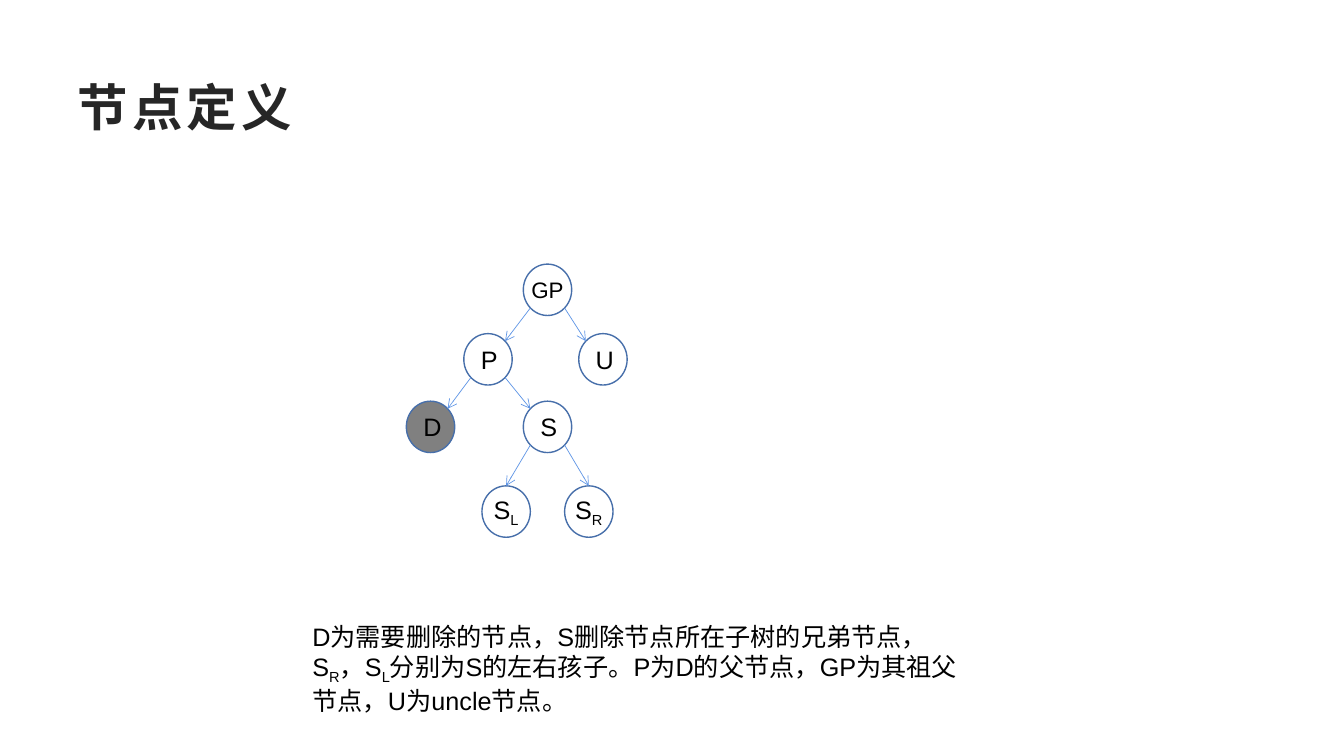
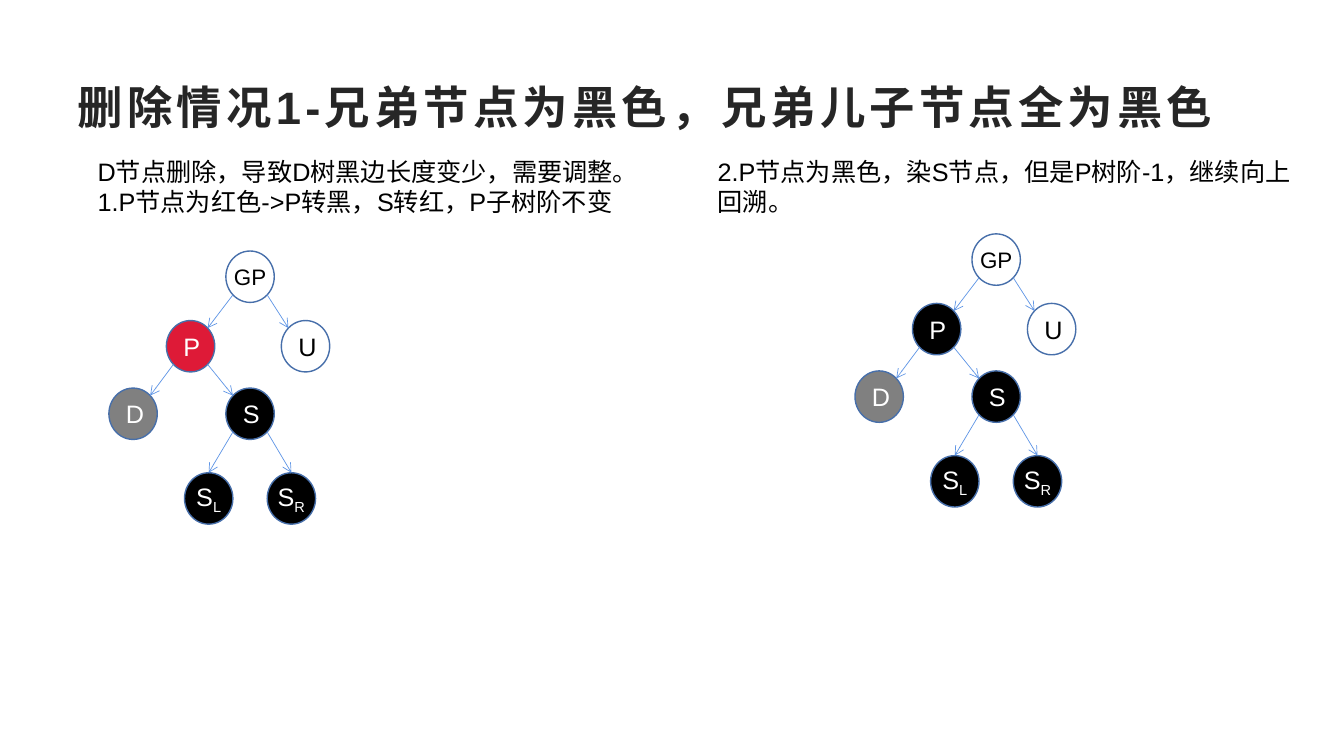
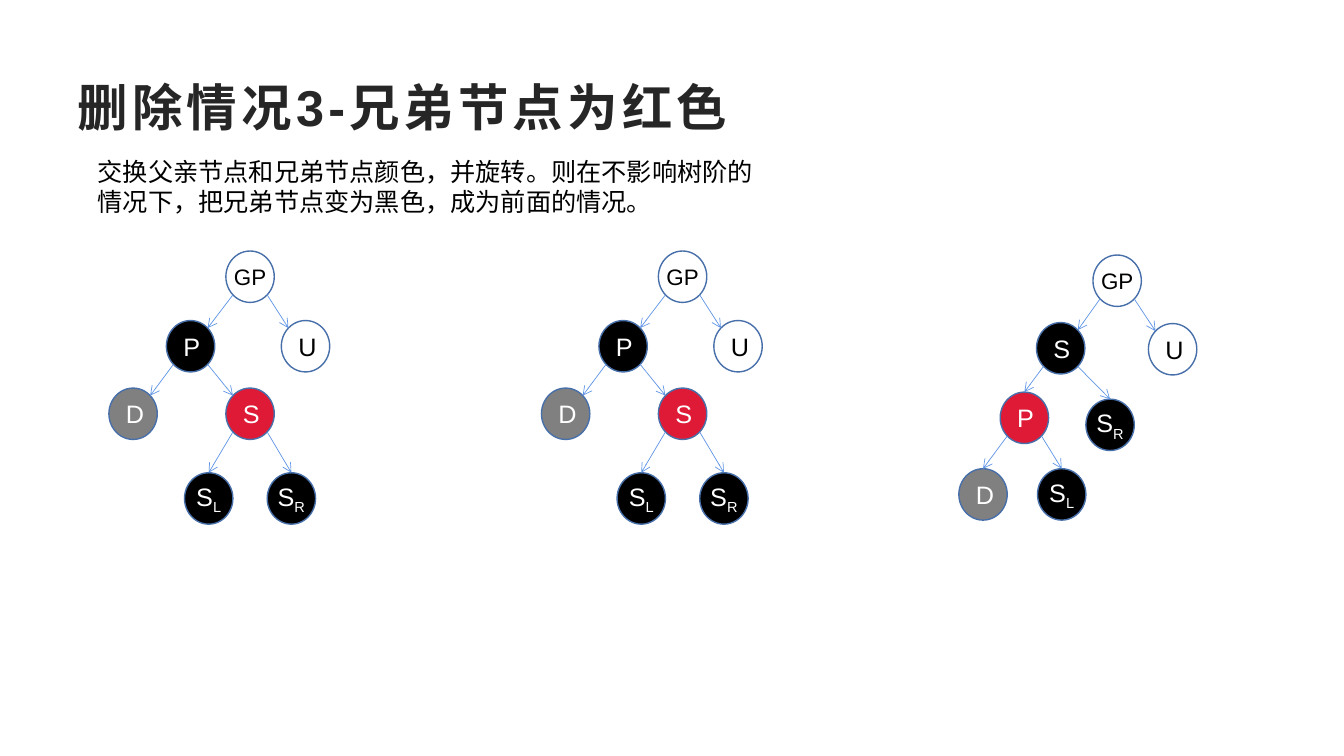
import math
from dataclasses import dataclass

from lxml import etree
from pptx import Presentation
from pptx.dml.color import RGBColor
from pptx.enum import shapes, text
from pptx.oxml import ns
from pptx.util import Inches, Pt


@dataclass(frozen=True)
class Theme:
    font: str = "Arial"
    title_color: str = "262626"
    text_color: str = "000000"
    node_line: str = "476FAA"
    edge_line: str = "6096E6"
    title_size: float = 36
    text_size: float = 18
    small_size: float = 16
    title_spacing: int = 300


@dataclass(frozen=True)
class NodeStyle:
    fill: str
    text: str


THEME = Theme()
PLAIN = NodeStyle("FFFFFF", "000000")
BLACK = NodeStyle("000000", "FFFFFF")
RED = NodeStyle("DE1A37", "FFFFFF")
DELETED = NodeStyle("808080", "FFFFFF")
DELETED_DARK = NodeStyle("808080", "000000")

NODE_WIDTH, NODE_HEIGHT = 0.48, 0.51

# Where an edge meets a node, in degrees, clockwise from the right.
LOWER_RIGHT, LOWER_LEFT, UPPER_LEFT, TOP, UPPER_RIGHT = 45, 135, 225, 270, 315


@dataclass(frozen=True)
class Layout:
    """Node offsets from GP, and edges as (parent, child, exit, entry)."""
    offsets: dict
    edges: tuple


BEFORE_ROTATION = Layout(
    {"GP": (0, 0), "P": (-0.59, 0.69), "U": (0.55, 0.69), "D": (-1.16, 1.36),
     "S": (0, 1.36), "S_L": (-0.41, 2.2), "S_R": (0.41, 2.2)},
    (("GP", "P", LOWER_LEFT, UPPER_RIGHT), ("GP", "U", LOWER_RIGHT, UPPER_LEFT),
     ("P", "D", LOWER_LEFT, UPPER_RIGHT), ("P", "S", LOWER_RIGHT, UPPER_LEFT),
     ("S", "S_L", LOWER_LEFT, TOP), ("S", "S_R", LOWER_RIGHT, TOP)))
AFTER_ROTATION = Layout(
    {"GP": (0, 0), "S": (-0.56, 0.67), "U": (0.55, 0.68), "P": (-0.92, 1.36),
     "S_R": (-0.07, 1.43), "D": (-1.33, 2.12), "S_L": (-0.55, 2.12)},
    (("GP", "S", LOWER_LEFT, UPPER_RIGHT), ("GP", "U", LOWER_RIGHT, UPPER_LEFT),
     ("S", "P", LOWER_LEFT, TOP), ("S", "S_R", LOWER_RIGHT, TOP),
     ("P", "D", LOWER_LEFT, TOP), ("P", "S_L", LOWER_RIGHT, TOP)))

DEFINITION_STYLES = {**dict.fromkeys(BEFORE_ROTATION.offsets, PLAIN), "D": DELETED_DARK}
BLACK_STYLES = {**dict.fromkeys(BEFORE_ROTATION.offsets, BLACK),
                "GP": PLAIN, "U": PLAIN, "D": DELETED}


def rgb(value):
    return RGBColor.from_string(value)


def write(paragraph, content, size, color):
    """Fill a paragraph; the letter after each underscore becomes a subscript."""
    font = paragraph.font
    font.name, font.size = THEME.font, Pt(size)
    font.color.rgb = rgb(color)
    first, *rest = content.split("_")
    pieces = [(first, False)]
    for part in rest:
        pieces += [(part[0], True), (part[1:], False)]
    for piece, is_subscript in pieces:
        if piece:
            run = paragraph.add_run()
            run.text = piece
            if is_subscript:
                run.font._element.set("baseline", "-25000")


def add_slide(presentation, title, size=THEME.title_size):
    slide = presentation.slides.add_slide(presentation.slide_layouts[5])
    shape = slide.shapes.title
    shape.left, shape.top = Inches(0.67), Inches(0.67)
    shape.width, shape.height = Inches(12), Inches(0.77)
    frame = shape.text_frame
    frame.auto_size = text.MSO_AUTO_SIZE.NONE
    frame.vertical_anchor = text.MSO_ANCHOR.MIDDLE
    paragraph = frame.paragraphs[0]
    paragraph.alignment = text.PP_ALIGN.LEFT
    write(paragraph, title, size, THEME.title_color)
    paragraph.font.bold = True
    paragraph.font._element.set("spc", str(THEME.title_spacing))
    return slide


def add_note(slide, left, top, width, height, *lines):
    box = slide.shapes.add_textbox(*map(Inches, (left, top, width, height)))
    frame = box.text_frame
    frame.word_wrap = True
    frame.auto_size = text.MSO_AUTO_SIZE.SHAPE_TO_FIT_TEXT
    for index, line in enumerate(lines):
        paragraph = frame.add_paragraph() if index else frame.paragraphs[0]
        write(paragraph, line, THEME.text_size, THEME.text_color)


def add_node(slide, label, left, top, style):
    shape = slide.shapes.add_shape(
        shapes.MSO_SHAPE.OVAL, *map(Inches, (left, top, NODE_WIDTH, NODE_HEIGHT)))
    shape.shadow.inherit = False
    shape.fill.solid()
    shape.fill.fore_color.rgb = rgb(style.fill)
    shape.line.color.rgb = rgb(THEME.node_line)
    shape.line.width = Pt(1)
    frame = shape.text_frame
    frame.vertical_anchor = text.MSO_ANCHOR.MIDDLE
    is_long = len(label) > 1
    if is_long:
        frame.margin_left = frame.margin_right = 0
        frame.margin_top = frame.margin_bottom = 0
    paragraph = frame.paragraphs[0]
    paragraph.alignment = text.PP_ALIGN.CENTER
    size = THEME.small_size if label == "GP" else THEME.text_size
    write(paragraph, label, size, style.text)


def rim_point(corner, angle):
    """Point on the outline of the node whose top left corner is given."""
    radians = math.radians(angle)
    return (Inches(corner[0] + NODE_WIDTH / 2 * (1 + math.cos(radians))),
            Inches(corner[1] + NODE_HEIGHT / 2 * (1 + math.sin(radians))))


def add_arrow(slide, start, end):
    connector = slide.shapes.add_connector(shapes.MSO_CONNECTOR.STRAIGHT, *start, *end)
    connector.line.color.rgb = rgb(THEME.edge_line)
    connector.line.width = Pt(0.5)
    properties = connector._element.spPr
    etree.SubElement(properties.find(ns.qn("a:ln")), ns.qn("a:tailEnd"), type="arrow")
    etree.SubElement(properties, ns.qn("a:effectLst"))


def add_tree(slide, left, top, layout, styles):
    """Draw a tree whose GP node has its top left corner at left, top."""
    corners = {label: (left + x, top + y) for label, (x, y) in layout.offsets.items()}
    for label, corner in corners.items():
        add_node(slide, label, *corner, styles[label])
    for parent, child, leave, enter in layout.edges:
        add_arrow(slide, rim_point(corners[parent], leave), rim_point(corners[child], enter))


def add_definition_slide(presentation):
    slide = add_slide(presentation, "节点定义")
    add_tree(slide, 5.19, 2.62, BEFORE_ROTATION, DEFINITION_STYLES)
    add_note(slide, 3, 6.11, 6.8, 1.01,
             "D为需要删除的节点，S删除节点所在子树的兄弟节点，S_R，S_L分别为S的左右孩子。"
             "P为D的父节点，GP为其祖父节点，U为uncle节点。")


def add_black_sibling_slide(presentation):
    slide = add_slide(presentation, "删除情况1-兄弟节点为黑色，兄弟儿子节点全为黑色", 32.4)
    add_note(slide, 0.87, 1.5, 5.76, 0.71,
             "D节点删除，导致D树黑边长度变少，需要调整。",
             "1.P节点为红色->P转黑，S转红，P子树阶不变")
    add_tree(slide, 2.24, 2.49, BEFORE_ROTATION, {**BLACK_STYLES, "P": RED})
    add_note(slide, 7.02, 1.5, 5.93, 0.71,
             "2.P节点为黑色，染S节点，但是P树阶-1，继续向上回溯。")
    add_tree(slide, 9.64, 2.32, BEFORE_ROTATION, BLACK_STYLES)


def add_red_sibling_slide(presentation):
    slide = add_slide(presentation, "删除情况3-兄弟节点为红色")
    add_note(slide, 0.87, 1.5, 6.8, 0.71,
             "交换父亲节点和兄弟节点颜色，并旋转。则在不影响树阶的情况下，"
             "把兄弟节点变为黑色，成为前面的情况。")
    for left in (2.24, 6.53):
        add_tree(slide, left, 2.49, BEFORE_ROTATION, {**BLACK_STYLES, "S": RED})
    add_tree(slide, 10.84, 2.53, AFTER_ROTATION, {**BLACK_STYLES, "P": RED})


def main():
    presentation = Presentation()
    presentation.slide_width, presentation.slide_height = Inches(13.33), Inches(7.5)
    add_definition_slide(presentation)
    add_black_sibling_slide(presentation)
    add_red_sibling_slide(presentation)
    presentation.save("out.pptx")


if __name__ == "__main__":
    main()
